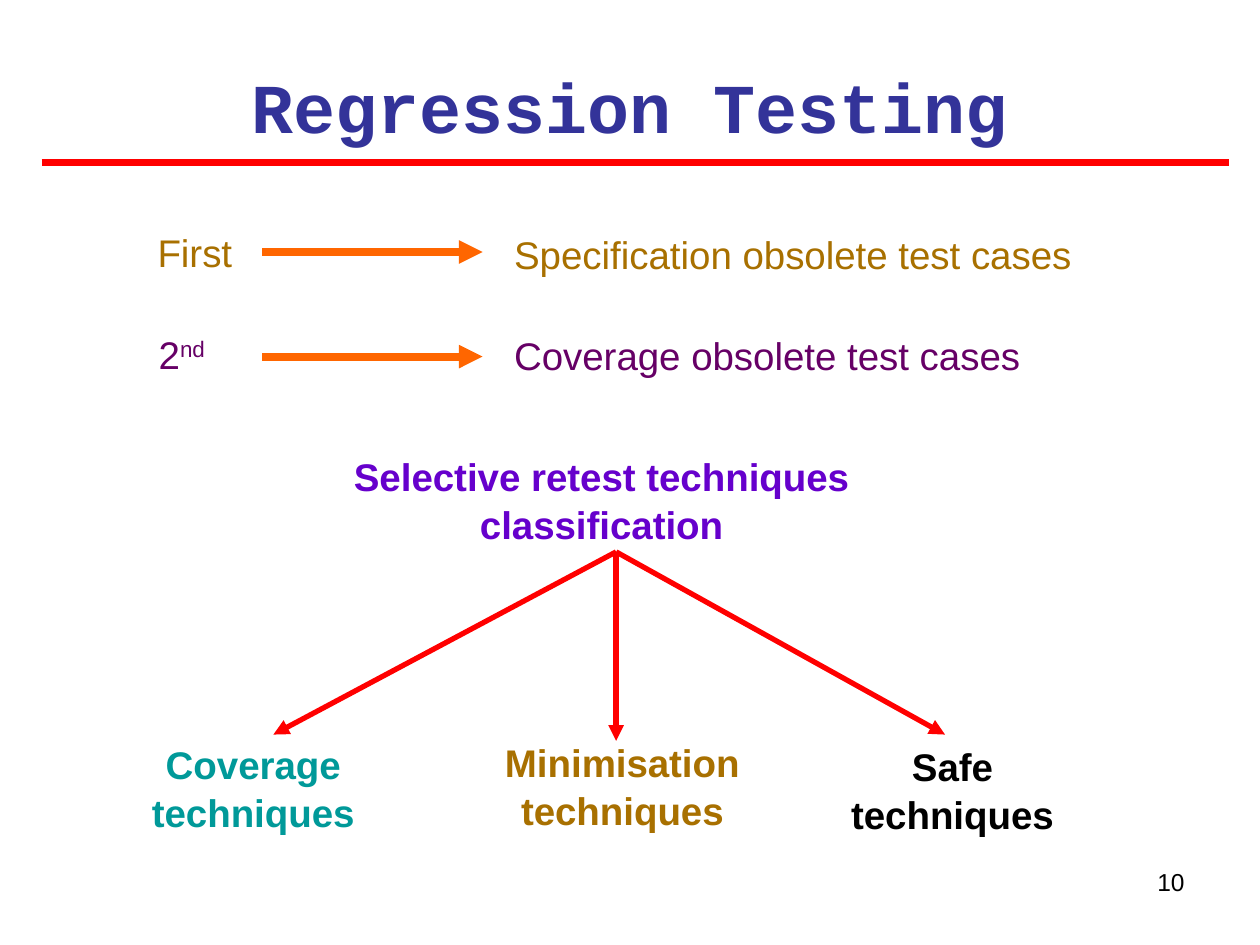
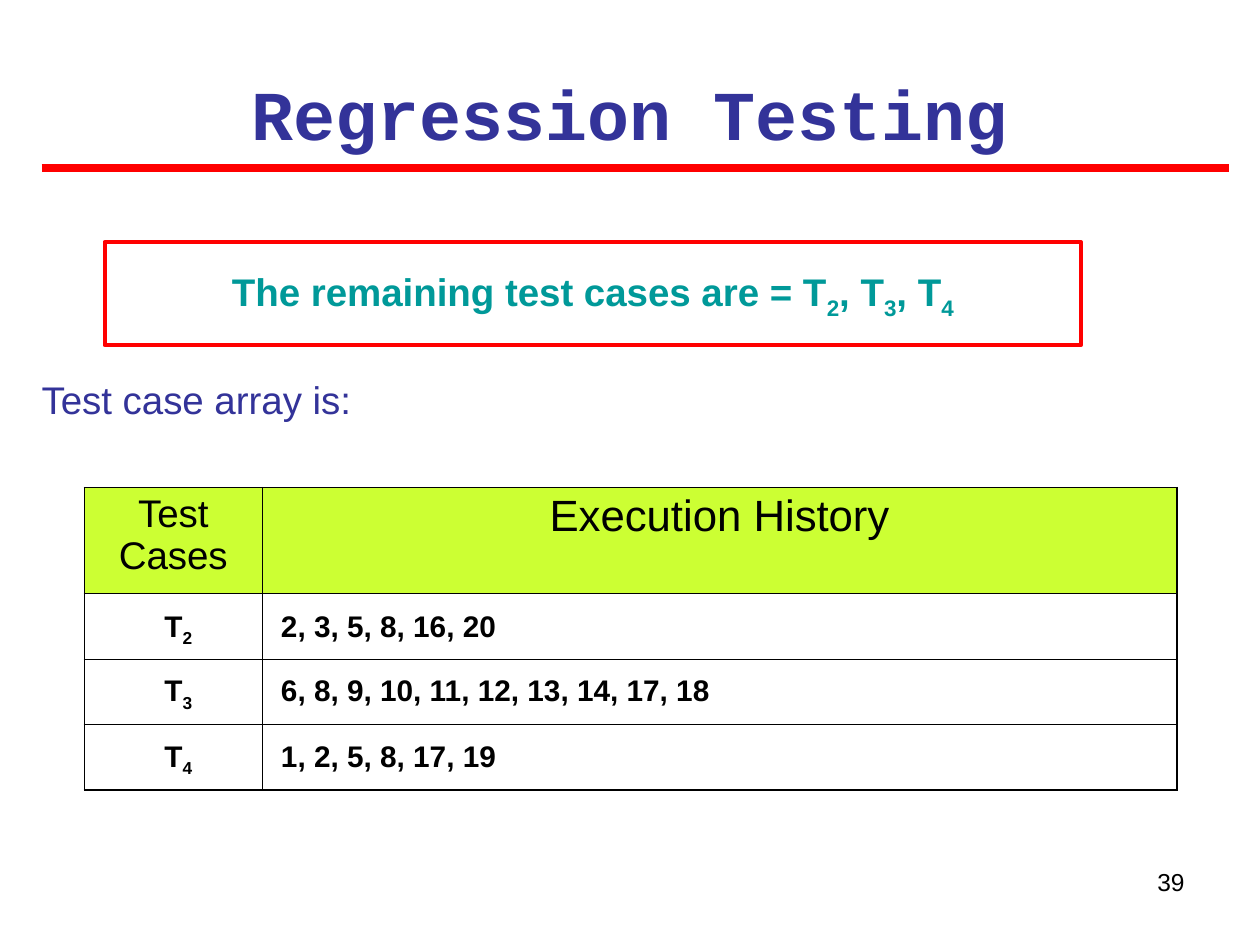
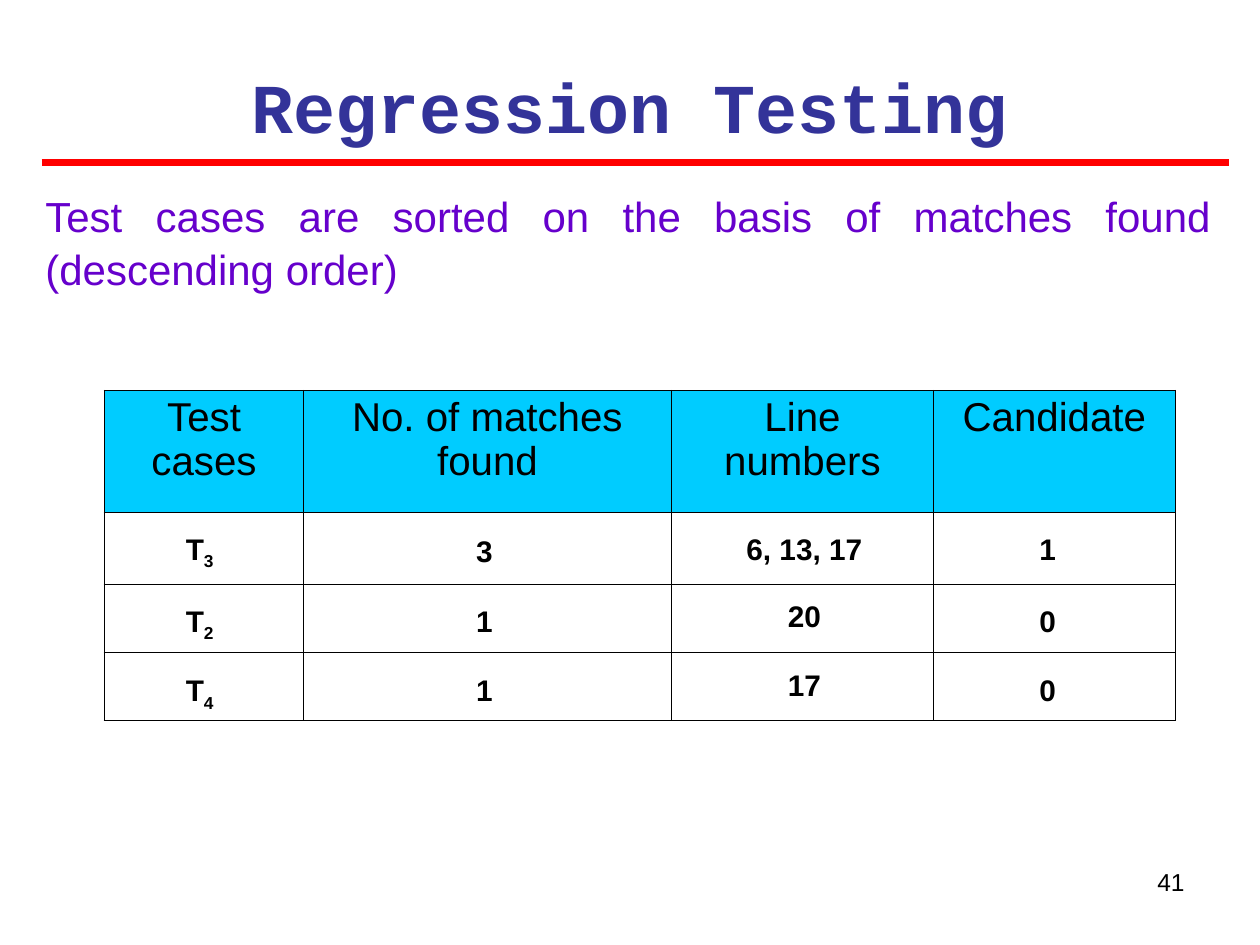
from dataclasses import dataclass

from lxml import etree
from pptx import Presentation
from pptx import util as u
from pptx.dml.color import RGBColor
from pptx.enum import shapes, text
from pptx.oxml import ns

# Shared look
EMU_PER_PX = 9144  # 100 px to the inch
SANS, MONO = "Arial", "Courier New"
BLACK, RED, ORANGE = "000000", "FF0000", "FF6600"
NAVY, VIOLET, PLUM = "333399", "6600CC", "660066"
OCHRE, TEAL, LIME, SKY = "A87000", "009999", "CCFF33", "00CCFF"
SUBSCRIPT, SUPERSCRIPT = -25000, 30000
LEFT, CENTER = text.PP_ALIGN.LEFT, text.PP_ALIGN.CENTER
RIGHT, JUSTIFY = text.PP_ALIGN.RIGHT, text.PP_ALIGN.JUSTIFY
OUTER_BORDER, INNER_BORDER = 1.08, 0.45


@dataclass
class Label:
    words: str
    x: int
    y: int
    width: int
    height: int
    color: str
    size: int = 22
    bold: bool = False
    align: text.PP_ALIGN = LEFT


@dataclass
class Arrow:
    start: tuple[int, int]
    end: tuple[int, int]
    color: str
    weight: float


@dataclass
class Column:
    head: str
    head_size: int
    width: int
    entry_x: int
    entry_width: int
    entry_tops: tuple[int, ...]
    entries: tuple[str, ...]
    align: text.PP_ALIGN = CENTER


@dataclass
class Grid:
    x: int
    y: int
    row_heights: tuple[int, ...]
    head_fill: str
    columns: list[Column]


def px(length: int) -> u.Emu:
    return u.Emu(length * EMU_PER_PX)


def rgb(value: str) -> RGBColor:
    return RGBColor.from_string(value)


def write(frame, words: str, *, size: int, color: str, font: str = SANS,
          bold: bool = False, align=LEFT, spacing: float = 1.04,
          shift: int = SUBSCRIPT) -> None:
    """Fill a text frame; every second piece between bars is raised or lowered."""
    frame.word_wrap = True
    paragraph = frame.paragraphs[0]
    paragraph.alignment = align
    paragraph.line_spacing = spacing
    paragraph.space_before = u.Pt(0)
    for index, piece in enumerate(words.split("|")):
        run = paragraph.add_run()
        run.text = piece
        run.font.name, run.font.size, run.font.bold = font, u.Pt(size), bold
        run.font.color.rgb = rgb(color)
        if index % 2:
            run.font._element.set("baseline", str(shift))


def set_margins(frame, sides: int, top: int, bottom: int) -> None:
    frame.margin_left = frame.margin_right = px(sides)
    frame.margin_top, frame.margin_bottom = px(top), px(bottom)


def add_label(slide, label: Label, shift: int = SUBSCRIPT) -> None:
    box = slide.shapes.add_textbox(px(label.x), px(label.y), px(label.width), px(label.height))
    set_margins(box.text_frame, 0, 0, 0)
    write(box.text_frame, label.words, size=label.size, color=label.color,
          bold=label.bold, align=label.align, shift=shift)


def add_line(slide, route: Arrow, pointed: bool = True) -> None:
    line = slide.shapes.add_connector(
        shapes.MSO_CONNECTOR.STRAIGHT, *map(px, route.start + route.end))
    line.line.color.rgb = rgb(route.color)
    line.line.width = u.Pt(route.weight)
    if pointed:
        etree.SubElement(line.line._get_or_add_ln(), ns.qn("a:tailEnd"), type="triangle")
    etree.SubElement(line._element.spPr, ns.qn("a:effectLst"))


def set_borders(cell, widths: dict[str, float]) -> None:
    properties = cell._tc.get_or_add_tcPr()
    for index, (side, width) in enumerate(widths.items()):
        border = etree.Element(ns.qn(f"a:ln{side}"), w=str(int(u.Pt(width))))
        fill = etree.SubElement(border, ns.qn("a:solidFill"))
        etree.SubElement(fill, ns.qn("a:srgbClr"), val=BLACK)
        properties.insert(index, border)


def add_grid(slide, grid: Grid) -> None:
    rows, columns = len(grid.row_heights), len(grid.columns)
    table = slide.shapes.add_table(
        rows, columns, px(grid.x), px(grid.y),
        px(sum(column.width for column in grid.columns)), px(sum(grid.row_heights))).table
    table.first_row = table.horz_banding = False
    for row, height in enumerate(grid.row_heights):
        table.rows[row].height = px(height)
    for index, column in enumerate(grid.columns):
        table.columns[index].width = px(column.width)
        for row in range(rows):
            cell = table.cell(row, index)
            if row == 0:
                cell.fill.solid()
                cell.fill.fore_color.rgb = rgb(grid.head_fill)
                write(cell.text_frame, column.head, size=column.head_size,
                      color=BLACK, align=CENTER, spacing=0.97)
            else:
                cell.fill.background()
            at_edge = {"L": index == 0, "R": index == columns - 1,
                       "T": row == 0, "B": row == rows - 1}
            set_borders(cell, {side: OUTER_BORDER if edge else INNER_BORDER
                               for side, edge in at_edge.items()})
        # Entries sit over the empty body cells
        for entry, top in zip(column.entries, column.entry_tops):
            add_label(slide, Label(entry, column.entry_x, top, column.entry_width,
                                   32 if "|" in entry else 28, BLACK, 17, True, column.align))


def add_topic_slide(deck, number: int, title_top: int = 35, rule_y: int = 129):
    """Start a slide with the shared title, red rule and page number."""
    slide = deck.slides.add_slide(deck.slide_layouts[5])
    title = slide.shapes.title
    title.left, title.top, title.width, title.height = map(px, (33, title_top, 933, 77))
    frame = title.text_frame
    frame.auto_size = text.MSO_AUTO_SIZE.NONE
    frame.vertical_anchor = text.MSO_ANCHOR.TOP
    set_margins(frame, 10, 13, 5)
    write(frame, "Regression Testing", size=40, color=NAVY, font=MONO, bold=True, align=CENTER)
    add_line(slide, Arrow((33, rule_y), (975, rule_y), RED, 4.5), pointed=False)
    page = slide.shapes.add_textbox(px(717), px(683), px(233), px(52))
    write(page.text_frame, str(number), size=14, color=BLACK, align=RIGHT, spacing=1.0)
    return slide


def build_classification(deck) -> None:
    slide = add_topic_slide(deck, 10)
    # Order of removal
    for label in (
        Label("First", 125, 180, 75, 37, OCHRE),
        Label("Specification obsolete test cases", 408, 182, 492, 37, OCHRE),
        Label("2|nd", 126, 261, 75, 37, PLUM),
        Label("Coverage obsolete test cases", 408, 262, 492, 37, PLUM),
    ):
        add_label(slide, label, shift=SUPERSCRIPT)
    for y in (200, 283):
        add_line(slide, Arrow((208, y), (383, y), ORANGE, 4.5))
    # Technique tree
    for label in (
        Label("Selective retest techniques classification", 257, 358, 441, 73, VIOLET),
        Label("Coverage techniques", 72, 587, 258, 73, TEAL),
        Label("Minimisation techniques", 394, 585, 200, 73, OCHRE),
        Label("Safe techniques", 653, 588, 206, 73, BLACK),
    ):
        label.bold, label.align = True, CENTER
        add_label(slide, label)
    for branch_end in ((217, 583), (750, 583), (489, 588)):
        add_line(slide, Arrow((489, 438), branch_end, RED, 3))


def build_remaining_cases(deck) -> None:
    slide = add_topic_slide(deck, 39, title_top=40, rule_y=133)
    # Framed result
    result = slide.shapes.add_shape(
        shapes.MSO_SHAPE.RECTANGLE, px(83), px(192), px(775), px(82))
    result.shadow.inherit = False
    result.fill.background()
    result.line.color.rgb = rgb(RED)
    result.line.width = u.Pt(2.25)
    set_margins(result.text_frame, 50, 20, 20)
    result.text_frame.vertical_anchor = text.MSO_ANCHOR.MIDDLE
    write(result.text_frame, "The remaining test cases are = T|2|, T|3|, T|4",
          size=22, color=TEAL, bold=True, align=CENTER)
    # Test case array
    add_label(slide, Label("Test case array is:", 33, 297, 925, 37, NAVY, align=JUSTIFY))
    tops = (481, 532, 584)
    add_grid(slide, Grid(67, 387, (84, 52, 52, 52), LIME, [
        Column("Test Cases", 22, 141, 108, 67, tops, ("T|2", "T|3", "T|4")),
        Column("Execution History", 25, 726, 223, 678, tops,
               ("2, 3, 5, 8, 16, 20", "6, 8, 9, 10, 11, 12, 13, 14, 17, 18",
                "1, 2, 5, 8, 17, 19"), LEFT),
    ]))


def build_sorted_cases(deck) -> None:
    slide = add_topic_slide(deck, 41)
    add_label(slide, Label(
        "Test cases are sorted on the basis of matches found (descending order)",
        36, 150, 925, 80, VIOLET, 24, align=JUSTIFY))
    # Ranking by matches
    tops = (420, 477, 532)
    add_grid(slide, Grid(83, 310, (97, 57, 54, 54), SKY, [
        Column("Test cases", 23, 158, 125, 67, tops, ("T|3", "T|2", "T|4")),
        Column("No. of matches found", 23, 292, 351, 67, (422, 477, 532), ("3", "1", "1")),
        Column("Line numbers", 23, 208, 585, 107, (420, 473, 528), ("6, 13, 17", "20", "17")),
        Column("Candidate", 23, 192, 798, 67, tops, ("1", "0", "0")),
    ]))


def main() -> None:
    deck = Presentation()
    deck.slide_width, deck.slide_height = px(1000), px(750)
    build_classification(deck)
    build_remaining_cases(deck)
    build_sorted_cases(deck)
    deck.save("out.pptx")


if __name__ == "__main__":
    main()
